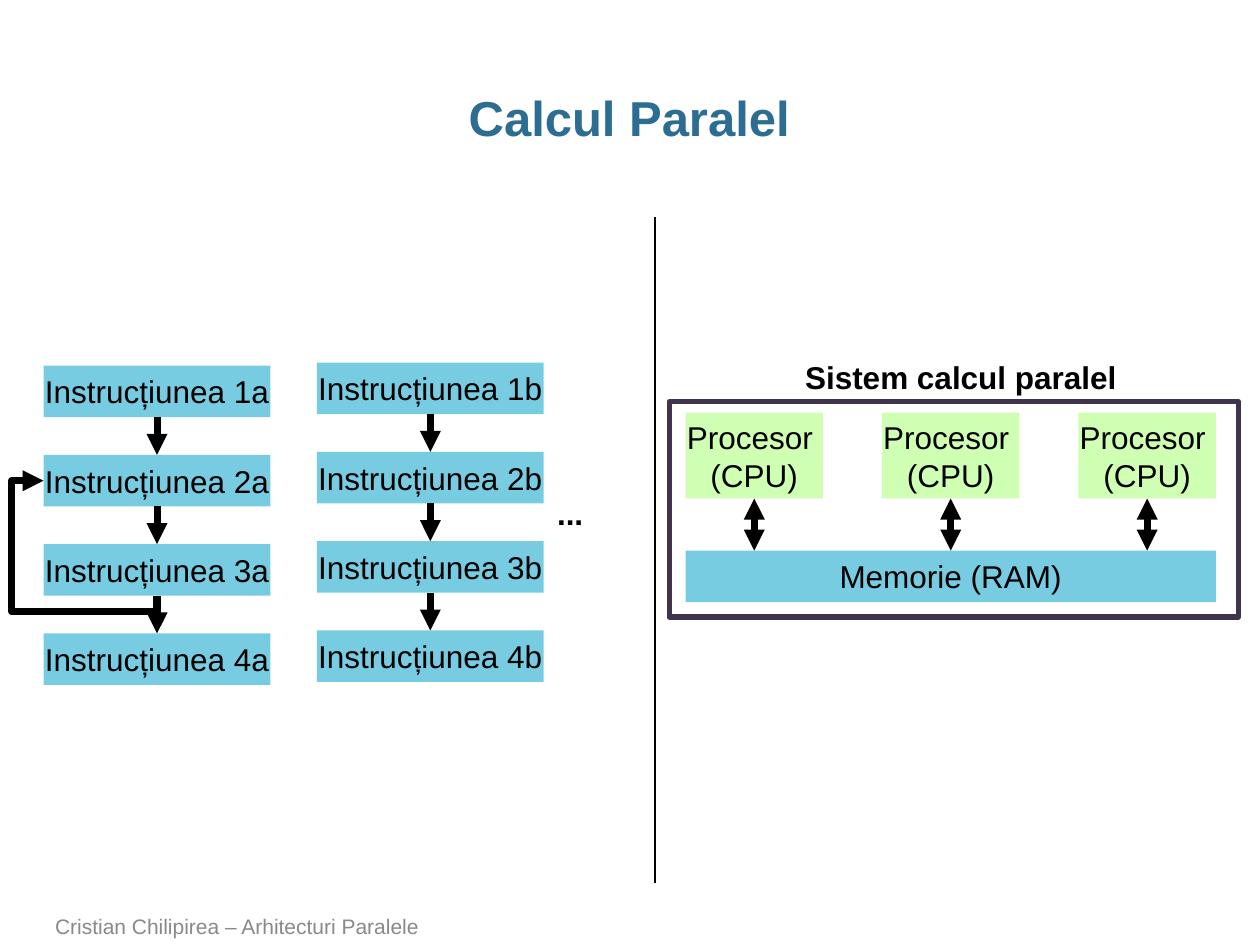
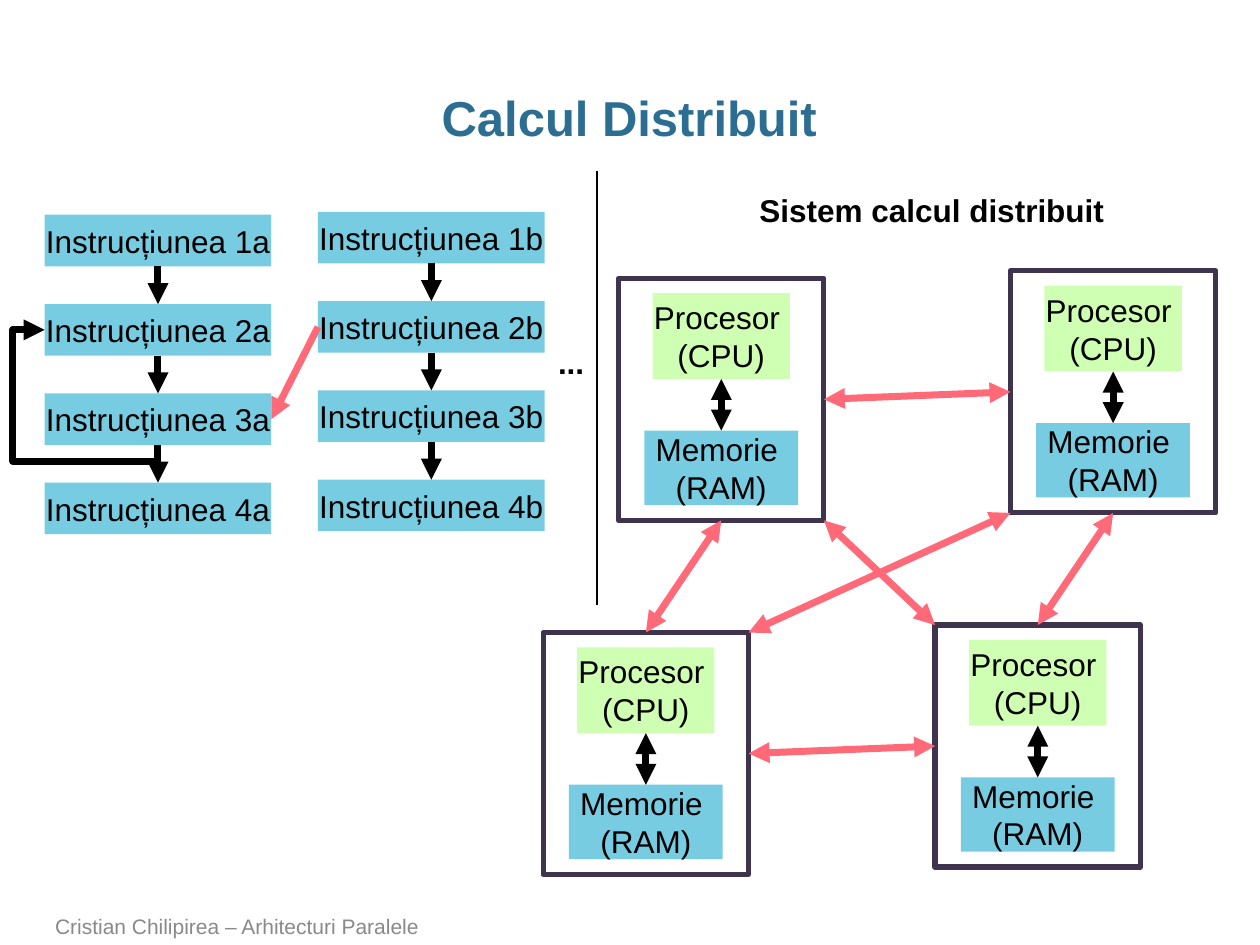
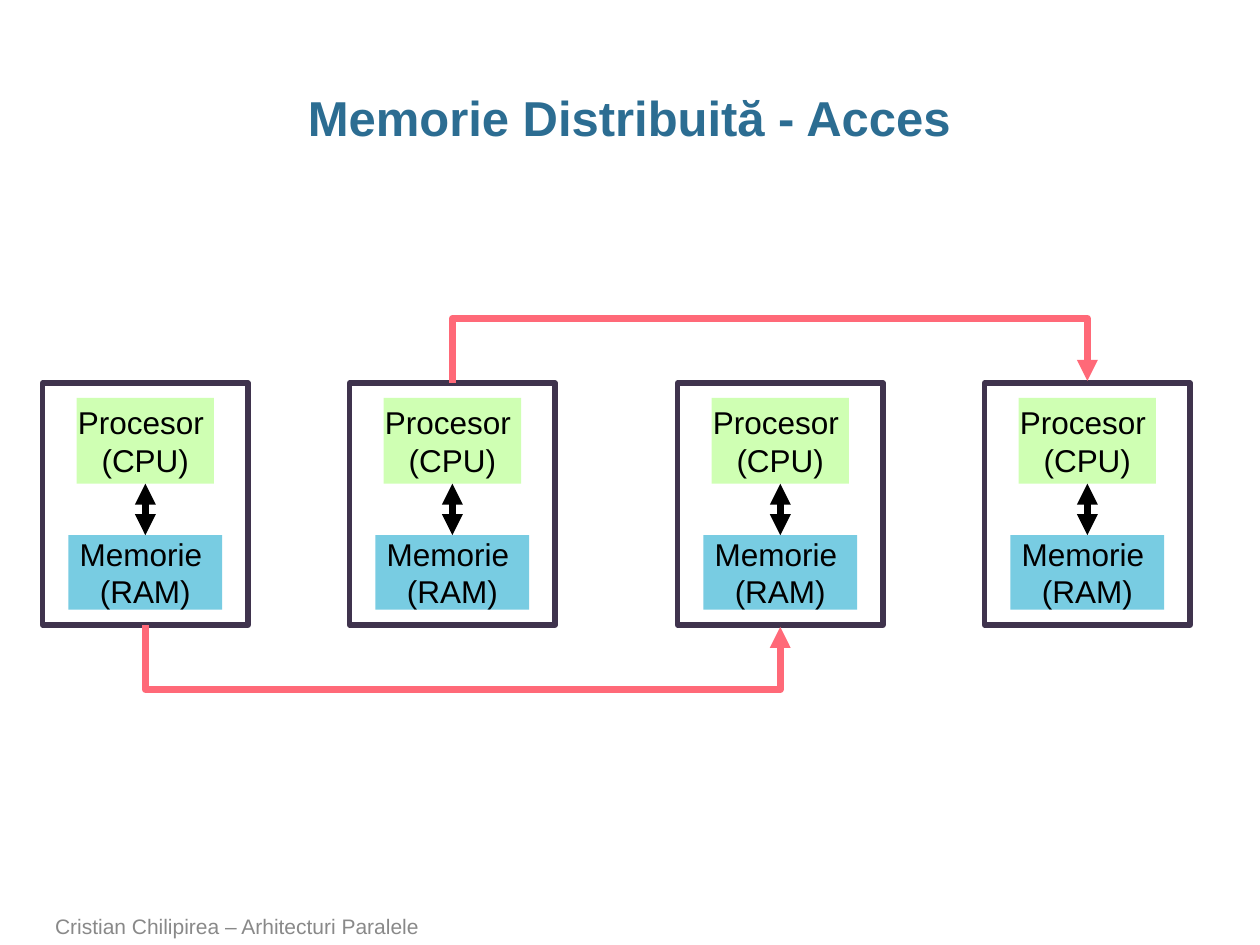
import lxml.etree
import pptx
import pptx.dml.color
import pptx.enum.shapes
import pptx.enum.text
import pptx.oxml.ns
import pptx.util

Cm = pptx.util.Cm
Pt = pptx.util.Pt
RGBColor = pptx.dml.color.RGBColor
ALIGN = pptx.enum.text.PP_ALIGN
ANCHOR = pptx.enum.text.MSO_ANCHOR
CONNECTOR = pptx.enum.shapes.MSO_CONNECTOR
qn = pptx.oxml.ns.qn

# Content
TITLES = ["Calcul Paralel", "Calcul Distribuit", "Memorie Distribuită - Acces"]
FOOTER = "Cristian Chilipirea – Arhitecturi Paralele"
INSTRUCTIONS = [[f"Instrucțiunea {step}{chain}" for step in range(1, 5)] for chain in "ab"]
PARALLEL_LABEL = "Sistem calcul paralel"
DISTRIBUTED_LABEL = "Sistem calcul distribuit"
PROCESSOR = "Procesor \n(CPU)"
NODE_MEMORY = "Memorie \n(RAM)"
SHARED_MEMORY = "Memorie (RAM)"

# Shared style
FONT = "Arial"
TITLE_BLUE = RGBColor(0x2C, 0x6D, 0x92)
FOOTER_GREY = RGBColor(0x89, 0x89, 0x89)
BLOCK_BLUE = RGBColor(0x78, 0xCC, 0xE2)
PROCESSOR_GREEN = RGBColor(0xCF, 0xFF, 0xB3)
FRAME_PURPLE = RGBColor(0x3F, 0x33, 0x4D)
LINK_PINK = RGBColor(0xFF, 0x69, 0x78)
BLACK = RGBColor(0, 0, 0)

# Shared sizes in centimetres
STEP_WIDTH, STEP_HEIGHT, STEP_PITCH = 4.57, 1.04, 1.8
CHAIN_OFFSETS = [(0, 0), (5.51, -0.06)]
CPU_WIDTH, CPU_HEIGHT = 2.77, 1.73
NODE_WIDTH, NODE_HEIGHT = 4.14, 4.88
MEMORY_WIDTH, MEMORY_HEIGHT = 3.1, 1.5
CPU_TOP, MEMORY_TOP = 0.3, 3.07


def write(shape, text, size=18, color=BLACK, bold=False, align=ALIGN.LEFT):
    shape.text_frame.text = text
    for paragraph in shape.text_frame.paragraphs:
        paragraph.alignment = align
        for run in paragraph.runs:
            run.font.name = FONT
            run.font.size = Pt(size)
            run.font.bold = bold
            run.font.color.rgb = color


def add_text(slide, box, text, **style):
    shape = slide.shapes.add_textbox(*map(Cm, box))
    write(shape, text, **style)
    return shape


def add_label(slide, box, text):
    label = add_text(slide, box, text, bold=True)
    label.text_frame.word_wrap = False
    label.text_frame.auto_size = pptx.enum.text.MSO_AUTO_SIZE.SHAPE_TO_FIT_TEXT


def add_rectangle(slide, box):
    shape = slide.shapes.add_shape(pptx.enum.shapes.MSO_SHAPE.RECTANGLE, *map(Cm, box))
    shape.shadow.inherit = False
    return shape


def add_block(slide, box, text, color):
    block = add_rectangle(slide, box)
    block.fill.solid()
    block.fill.fore_color.rgb = color
    block.line.fill.background()
    block.text_frame.word_wrap = False
    block.text_frame.vertical_anchor = ANCHOR.MIDDLE
    write(block, text, align=ALIGN.CENTER)


def add_frame(slide, box):
    frame = add_rectangle(slide, box)
    frame.fill.background()
    frame.line.color.rgb = FRAME_PURPLE
    frame.line.width = Pt(3)


def add_line(slide, start, end, color=BLACK, width=4, ends=("tailEnd",), kind=CONNECTOR.STRAIGHT):
    line = slide.shapes.add_connector(kind, *map(Cm, (*start, *end)))
    line.line.color.rgb = color
    line.line.width = Pt(width)
    properties = line.element.spPr
    for name in ends:
        lxml.etree.SubElement(properties.find(qn("a:ln")), qn(f"a:{name}"), type="triangle")
    lxml.etree.SubElement(properties, qn("a:effectLst"))
    return line


def add_double_arrow(slide, start, end, color=BLACK):
    add_line(slide, start, end, color, ends=("headEnd", "tailEnd"))


def add_elbow(slide, start, end, turn, adjustments, color):
    """Add a bent arrow turned by a quarter: turn is 1 clockwise, -1 the other way."""
    center_x, center_y = (start[0] + end[0]) / 2, (start[1] + end[1]) / 2
    unturned = [(center_x + turn * (y - center_y), center_y - turn * (x - center_x))
                for x, y in (start, end)]
    elbow = add_line(slide, *unturned, color, kind=CONNECTOR.ELBOW)
    properties = elbow.element.spPr
    properties.find(qn("a:xfrm")).set("rot", str(turn % 4 * 90 * 60000))
    geometry = properties.find(qn("a:prstGeom"))
    geometry.set("prst", f"bentConnector{len(adjustments) + 2}")
    guides = geometry.find(qn("a:avLst"))
    for number, value in enumerate(adjustments, 1):
        lxml.etree.SubElement(guides, qn("a:gd"), name=f"adj{number}",
                              fmla=f"val {round(value * 100000)}")


def add_slide(presentation, title):
    slide = presentation.slides.add_slide(presentation.slide_layouts[6])
    heading = add_text(slide, (0.86, 1.73, 23.65, 1.27), title, size=28,
                       color=TITLE_BLUE, bold=True, align=ALIGN.CENTER)
    heading.text_frame.word_wrap = True
    heading.text_frame.margin_left = heading.text_frame.margin_right = 0
    heading.text_frame.paragraphs[0].line_spacing = 0.95
    footer = add_text(slide, (0.86, 18.34, 18.72, 0.71), FOOTER, size=12, color=FOOTER_GREY)
    footer.text_frame.word_wrap = True
    footer.text_frame.vertical_anchor = ANCHOR.BOTTOM
    return slide


def add_instruction_chains(slide, left, top):
    for chain, (shift_x, shift_y) in zip(INSTRUCTIONS, CHAIN_OFFSETS):
        center = left + shift_x + STEP_WIDTH / 2
        for index, text in enumerate(chain):
            step_top = top + shift_y + index * STEP_PITCH
            add_block(slide, (left + shift_x, step_top, STEP_WIDTH, STEP_HEIGHT), text, BLOCK_BLUE)
            if index:
                add_line(slide, (center, step_top - STEP_PITCH + STEP_HEIGHT), (center, step_top))
    # Loop from the third step back to the second
    add_elbow(slide, (left + STEP_WIDTH / 2, top + 2 * STEP_PITCH + STEP_HEIGHT),
              (left, top + STEP_PITCH + STEP_HEIGHT / 2), 1, (-0.14, 1.28), BLACK)
    add_label(slide, (left + 10.1, top + 2.46, 1.04, 1.02), "...")


def add_node(slide, left, top):
    center = left + NODE_WIDTH / 2
    add_block(slide, (center - MEMORY_WIDTH / 2, top + MEMORY_TOP, MEMORY_WIDTH, MEMORY_HEIGHT),
              NODE_MEMORY, BLOCK_BLUE)
    add_block(slide, (center - CPU_WIDTH / 2, top + CPU_TOP, CPU_WIDTH, CPU_HEIGHT),
              PROCESSOR, PROCESSOR_GREEN)
    add_double_arrow(slide, (center, top + CPU_TOP + CPU_HEIGHT), (center, top + MEMORY_TOP))
    add_frame(slide, (left, top, NODE_WIDTH, NODE_HEIGHT))


def node_point(node, across, down):
    """Point on a node, given as fractions of its width and height."""
    return node[0] + across * NODE_WIDTH, node[1] + down * NODE_HEIGHT


def build_parallel(presentation):
    slide = add_slide(presentation, TITLES[0])
    left, cpu_top, memory_top, cpu_pitch = 13.82, 8.32, 11.1, 3.96
    add_block(slide, (left, memory_top, 2 * cpu_pitch + CPU_WIDTH, STEP_HEIGHT),
              SHARED_MEMORY, BLOCK_BLUE)
    for index in range(3):
        cpu_left = left + index * cpu_pitch
        center = cpu_left + CPU_WIDTH / 2
        add_block(slide, (cpu_left, cpu_top, CPU_WIDTH, CPU_HEIGHT), PROCESSOR, PROCESSOR_GREEN)
        add_double_arrow(slide, (center, cpu_top + CPU_HEIGHT), (center, memory_top))
    add_label(slide, (15.98, 7.09, 6.86, 1.02), PARALLEL_LABEL)
    add_instruction_chains(slide, 0.88, 7.37)
    add_line(slide, (13.2, 4.37), (13.2, 17.8), width=1, ends=())
    add_frame(slide, (13.49, 8.1, 11.48, 4.34))


def build_distributed(presentation):
    slide = add_slide(presentation, TITLES[1])
    nodes = [(12.47, 5.61), (20.37, 5.46), (10.95, 12.75), (18.85, 12.6)]
    for node in nodes:
        add_node(slide, *node)
    # Links: node and point on it, at both ends
    links = [
        (1, (0, 0.5), 0, (1, 0.5)), (3, (0, 0.5), 2, (1, 0.5)),
        (0, (0.5, 1), 2, (0.5, 0)), (1, (0.5, 1), 3, (0.5, 0)),
        (0, (1, 1), 3, (0, 0)), (1, (0, 1), 2, (1, 0)),
    ]
    for first, first_point, second, second_point in links:
        add_double_arrow(slide, node_point(nodes[first], *first_point),
                         node_point(nodes[second], *second_point), LINK_PINK)
    add_label(slide, (15.06, 3.73, 7.59, 1.02), DISTRIBUTED_LABEL)
    left, top = 0.9, 4.33
    add_instruction_chains(slide, left, top)
    add_line(slide, (12.04, 3.45), (12.04, 12.19), width=1, ends=())
    # Message from step 2b to step 3a
    shift_x, shift_y = CHAIN_OFFSETS[1]
    add_line(slide, (left + shift_x, top + shift_y + STEP_PITCH + STEP_HEIGHT / 2),
             (left + STEP_WIDTH, top + 2 * STEP_PITCH + STEP_HEIGHT / 2), LINK_PINK)


def build_access(presentation):
    slide = add_slide(presentation, TITLES[2])
    nodes = [(left, 7.72) for left in (0.86, 7.05, 13.66, 19.85)]
    for node in nodes:
        add_node(slide, *node)
    # The ends differ a little in height; the bend is a multiple of that step
    step, bend = 0.04, 1.3
    for source, target, edge, turn in ((0, 2, 1, -1), (1, 3, 0, 1)):
        start_x, start_y = node_point(nodes[source], 0.5, edge)
        end_x, end_y = node_point(nodes[target], 0.5, edge)
        add_elbow(slide, (start_x, start_y), (end_x, end_y - turn * step),
                  turn, (bend / step,), LINK_PINK)


def main():
    presentation = pptx.Presentation()
    presentation.slide_width, presentation.slide_height = Cm(25.4), Cm(19.05)
    for build in (build_parallel, build_distributed, build_access):
        build(presentation)
    presentation.save("out.pptx")


if __name__ == "__main__":
    main()
